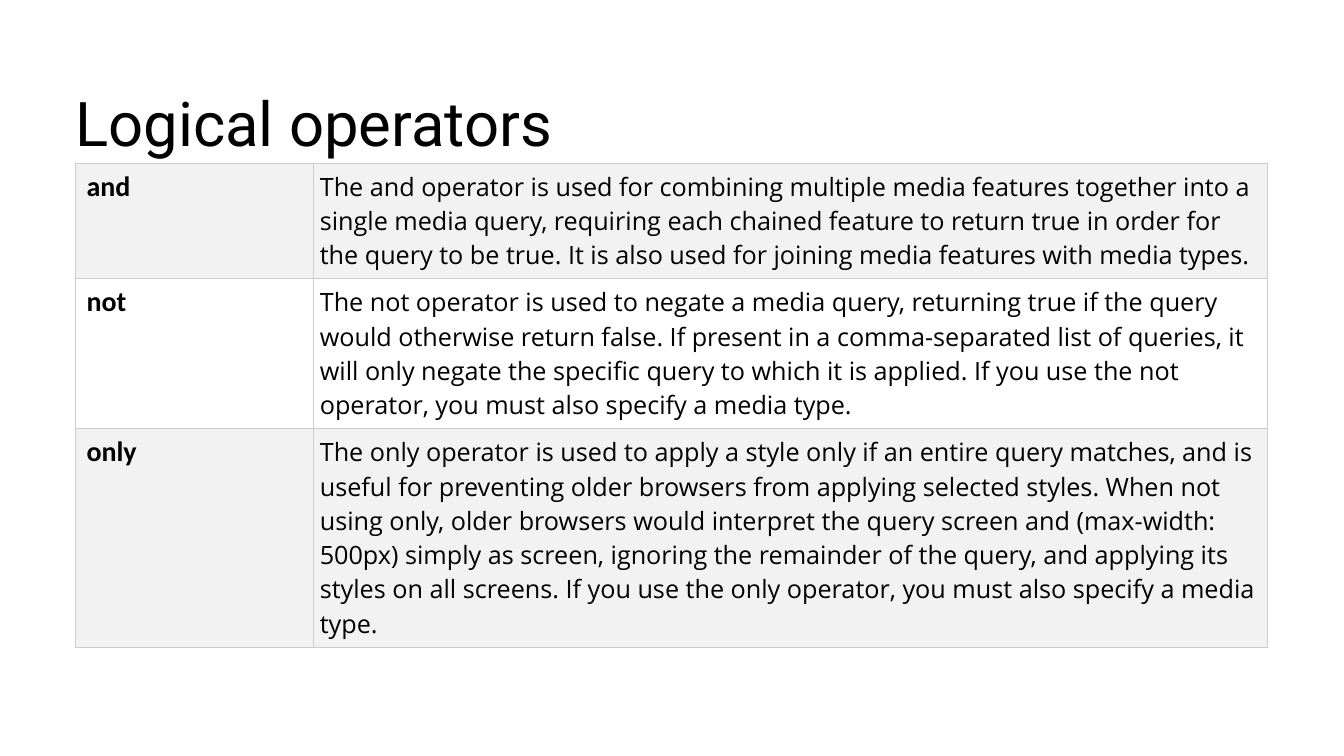
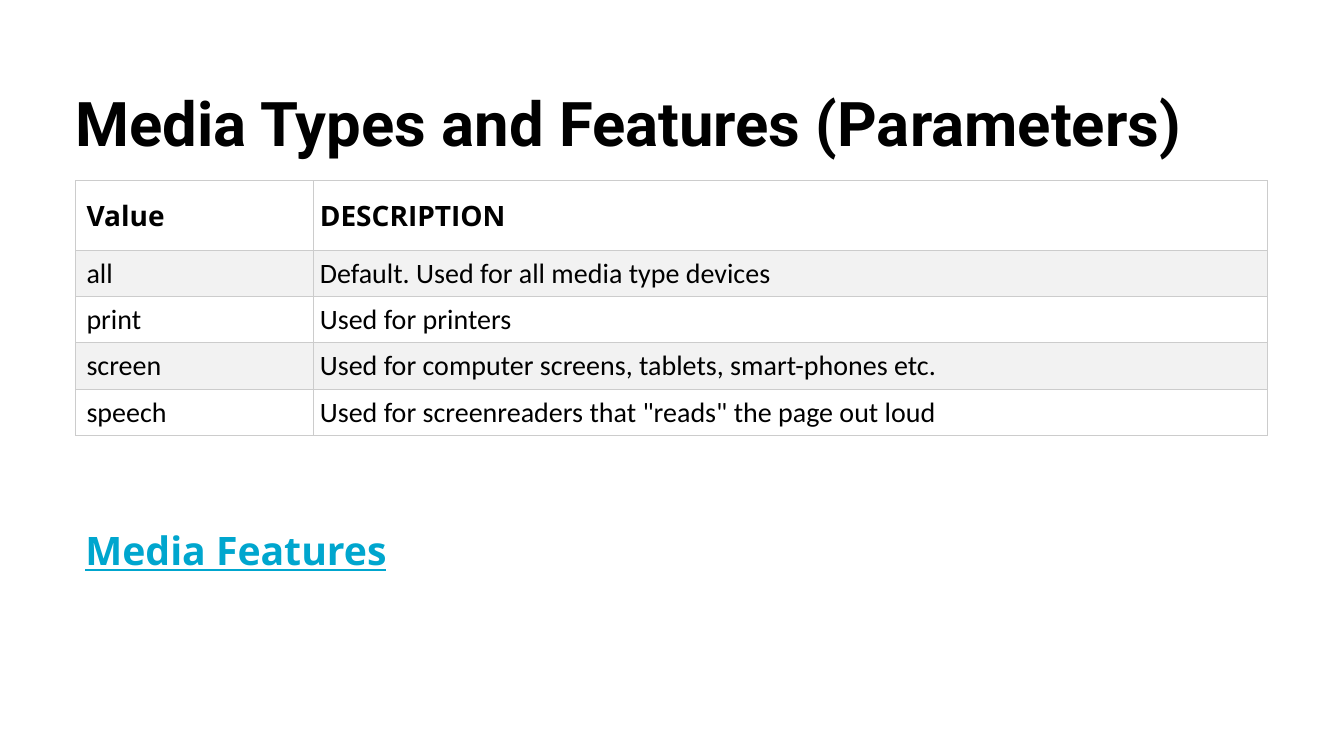
from lxml.etree import SubElement
from pptx import Presentation
from pptx.dml.color import RGBColor
from pptx.enum.text import MSO_ANCHOR, MSO_AUTO_SIZE, PP_ALIGN
from pptx.oxml.ns import qn
from pptx.util import Cm, Pt

BLACK, WHITE, GREY, BORDER, LINK = "000000", "FFFFFF", "F2F2F2", "CCCCCC", "00A6CE"
LEFT, WIDTH = 1.9, 30.05
COLUMN_WIDTHS = (6, 24.05)
CELL_MARGIN = 0.16

LABEL = dict(size=20, font="Calibri", bold=True)
EXPLANATION = dict(size=18, font="Open Sans")
HEADER = dict(size=20, font="Open Sans", bold=True, anchor=MSO_ANCHOR.MIDDLE)
ENTRY = dict(size=20, font="Calibri")

OPERATORS = [
    ("and", "The and operator is used for combining multiple media features together "
            "into a single media query, requiring each chained feature to return true "
            "in order for the query to be true. It is also used for joining media "
            "features with media types."),
    ("not", "The not operator is used to negate a media query, returning true if the "
            "query would otherwise return false. If present in a comma-separated list "
            "of queries, it will only negate the specific query to which it is applied. "
            "If you use the not operator, you must also specify a media type."),
    ("only", "The only operator is used to apply a style only if an entire query "
             "matches, and is useful for preventing older browsers from applying "
             "selected styles. When not using only, older browsers would interpret the "
             "query screen and (max-width: 500px) simply as screen, ignoring the "
             "remainder of the query, and applying its styles on all screens. If you "
             "use the only operator, you must also specify a media type."),
]
MEDIA_TYPES = [
    ("Value", "DESCRIPTION"),
    ("all", "Default. Used for all media type devices"),
    ("print", "Used for printers"),
    ("screen", "Used for computer screens, tablets, smart-phones etc."),
    ("speech", 'Used for screenreaders that "reads" the page out loud'),
]

# Each slide: layout index, title, title weight, table top, rows,
# row heights, cell formats by row, fills that alternate by row
SLIDES = [
    (5, "Logical operators", False, 4.11, OPERATORS, (2.87, 3.75, 5.47),
     [(LABEL, EXPLANATION)] * 3, (GREY, WHITE)),
    (1, "Media Types and Features (Parameters)", True, 4.55, MEDIA_TYPES,
     (1.75,) + (1.15,) * 4, [(HEADER, HEADER)] + [(ENTRY, ENTRY)] * 4, (WHITE, GREY)),
]


def color(value):
    return RGBColor.from_string(value)


def write(target, text, size, font, bold=False, underline=False, fill=BLACK,
          anchor=MSO_ANCHOR.TOP, spacing=None, before=0):
    """Fill a shape or table cell with one formatted paragraph and return it."""
    frame = target.text_frame
    frame.text = text
    # A cell keeps its anchor itself, a shape keeps it in its text frame
    holder = target if hasattr(target, "vertical_anchor") else frame
    holder.vertical_anchor = anchor
    paragraph = frame.paragraphs[0]
    paragraph.alignment = PP_ALIGN.LEFT
    paragraph.space_before = Pt(before)
    if spacing:
        paragraph.line_spacing = spacing
    style = paragraph.runs[0].font
    style.size, style.name = Pt(size), font
    style.bold, style.underline = bold, underline
    style.color.rgb = color(fill)
    return paragraph


presentation = Presentation()
presentation.slide_width, presentation.slide_height = Cm(33.87), Cm(19.05)

for layout, heading, bold, top, rows, heights, formats, fills in SLIDES:
    slide = presentation.slides.add_slide(presentation.slide_layouts[layout])
    title = slide.shapes.title
    title.left, title.top, title.width, title.height = Cm(LEFT), Cm(0), Cm(WIDTH), Cm(4.78)
    title.text_frame.auto_size = MSO_AUTO_SIZE.NONE
    title.text_frame.margin_left = 0
    write(title, heading, 44, "Roboto", bold=bold, spacing=Pt(110))

    table = slide.shapes.add_table(len(rows), 2, Cm(LEFT), Cm(top),
                                   Cm(WIDTH), Cm(sum(heights))).table
    table.first_row = table.horz_banding = False
    for column, width in zip(table.columns, COLUMN_WIDTHS):
        column.width = Cm(width)
    for row_index, texts in enumerate(rows):
        table.rows[row_index].height = Cm(heights[row_index])
        for column_index, text in enumerate(texts):
            cell = table.cell(row_index, column_index)
            write(cell, text, **formats[row_index][column_index])
            cell.margin_top = cell.margin_right = cell.margin_bottom = Cm(CELL_MARGIN)
            cell.margin_left = Cm(CELL_MARGIN if column_index else 0.28)
            properties = cell._tc.get_or_add_tcPr()
            for side in ("a:lnL", "a:lnR", "a:lnT", "a:lnB"):
                line = SubElement(properties, qn(side), w=str(Pt(0.6)))
                SubElement(SubElement(line, qn("a:solidFill")), qn("a:srgbClr"), val=BORDER)
            cell.fill.solid()
            cell.fill.fore_color.rgb = color(fills[row_index % 2])

body = slide.placeholders[1]
body.left, body.top, body.width, body.height = Cm(LEFT), Cm(13.26), Cm(8.18), Cm(1.35)
body.text_frame.word_wrap = False
body.text_frame.auto_size = MSO_AUTO_SIZE.SHAPE_TO_FIT_TEXT
paragraph = write(body, "Media Features", 28, "Open Sans", bold=True, underline=True,
                  fill=LINK, anchor=MSO_ANCHOR.MIDDLE, spacing=0.9, before=10)
paragraph_properties = paragraph._p.get_or_add_pPr()
paragraph_properties.set("marL", "0")
paragraph_properties.set("indent", "0")
SubElement(paragraph_properties, qn("a:buNone"))

presentation.save("out.pptx")
